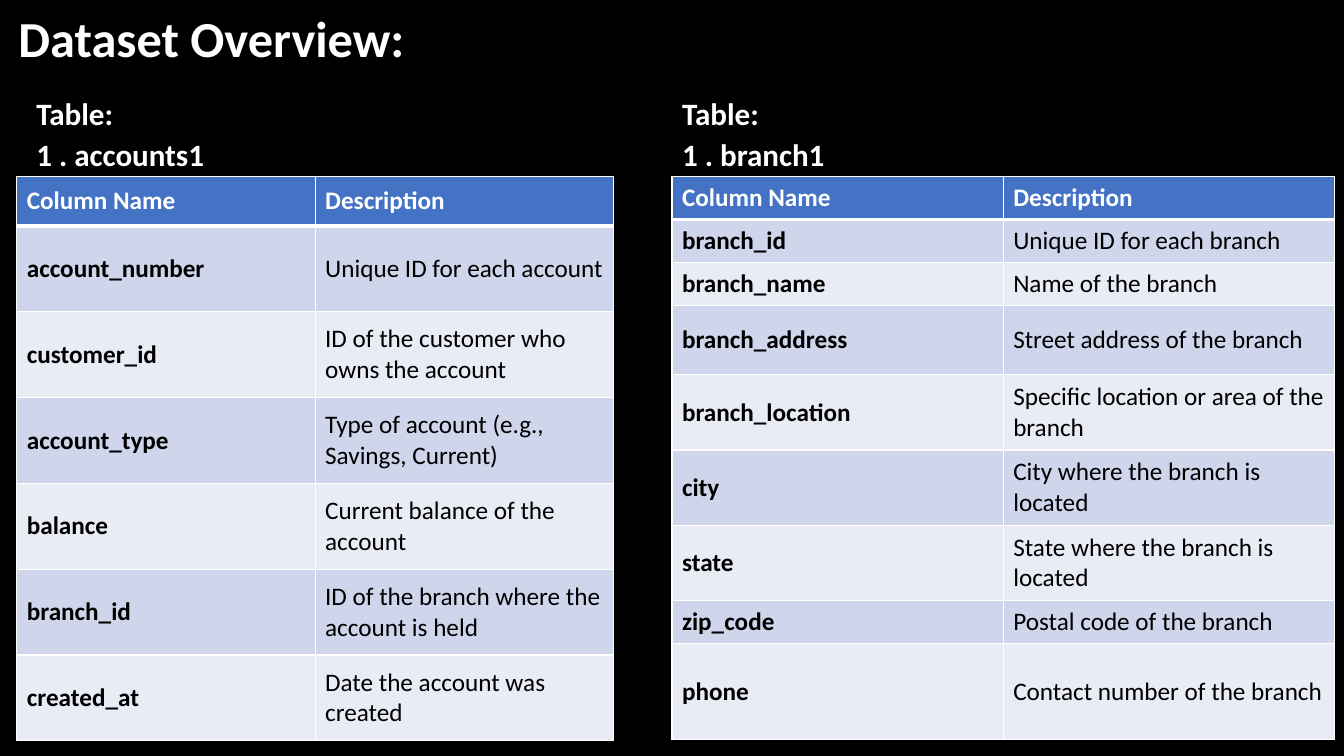
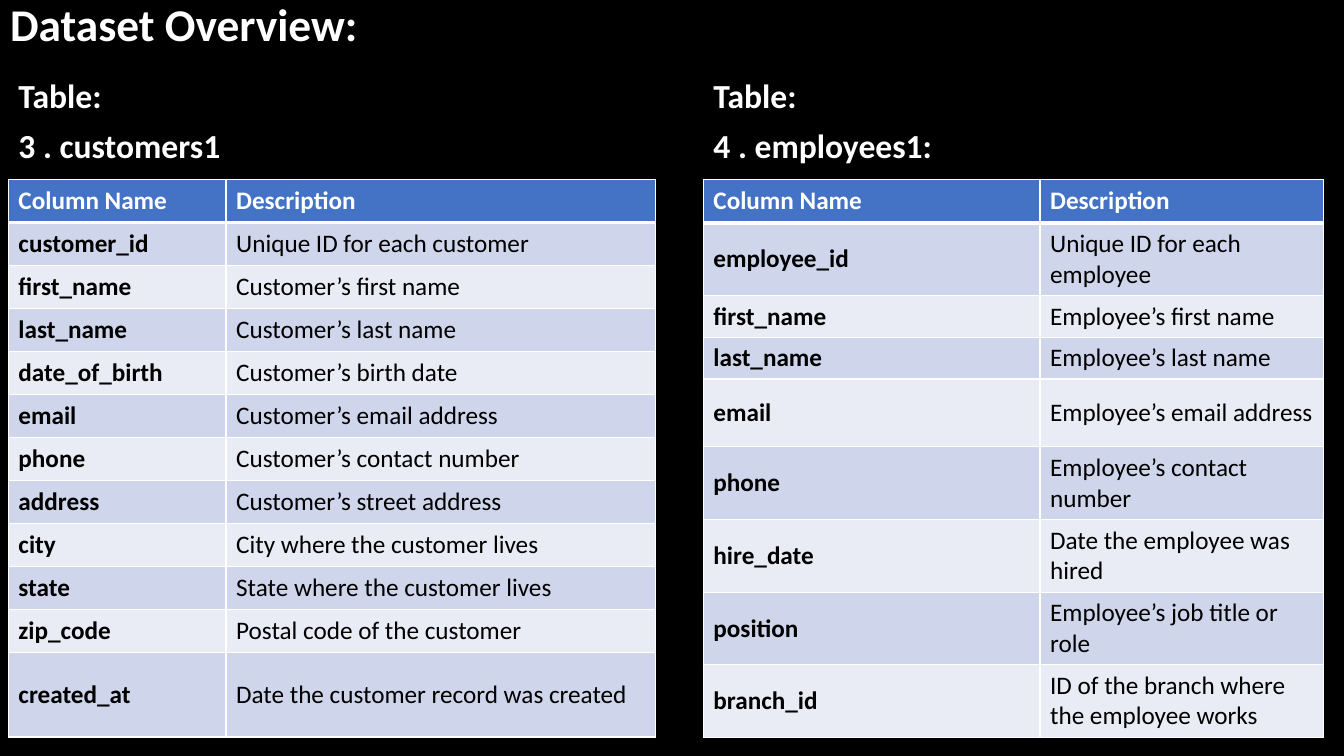
import dataclasses

import lxml.etree
import pptx
import pptx.dml.color
import pptx.enum.text
import pptx.oxml.ns
import pptx.util

Pt = pptx.util.Pt
Align = pptx.enum.text.PP_ALIGN
Anchor = pptx.enum.text.MSO_ANCHOR


@dataclasses.dataclass(frozen=True)
class Theme:
    font: str = "Calibri"
    background: str = "000000"
    light_text: str = "FFFFFF"
    dark_text: str = "000000"
    header_fill: str = "4472C4"
    band_fills: tuple = ("E9EBF5", "CFD5EA")
    border: str = "FFFFFF"
    thin_border: float = 1
    thick_border: float = 3
    table_size: float = 18
    title_spacing: float = 0.9
    heading_gap: float = 10


def rgb(value):
    return pptx.dml.color.RGBColor.from_string(value)


def write_text(frame, text, *, font, size, color, bold=False, spacing=1.0, gap=0):
    frame.word_wrap = True
    for index, line in enumerate(text.split("\n")):
        paragraph = frame.add_paragraph() if index else frame.paragraphs[0]
        paragraph.text = line
        paragraph.alignment = Align.LEFT
        paragraph.line_spacing = spacing
        paragraph.space_before = Pt(gap if index else 0)
        paragraph.font.name = font
        paragraph.font.size = Pt(size)
        paragraph.font.bold = bold
        paragraph.font.color.rgb = rgb(color)


class Deck:
    def __init__(self, theme):
        self.theme = theme
        self.presentation = pptx.Presentation()
        self.presentation.slide_width = Pt(960)
        self.presentation.slide_height = Pt(540)
        fill = self.presentation.slide_master.background.fill
        fill.solid()
        fill.fore_color.rgb = rgb(theme.background)
        self.slide = None

    def add_slide(self):
        layout = self.presentation.slide_layouts.get_by_name("Comparison")
        self.slide = self.presentation.slides.add_slide(layout)

    def fill_placeholder(self, index, text, box, anchor, **text_format):
        shape = next(
            holder for holder in self.slide.placeholders
            if holder.placeholder_format.idx == index
        )
        shape.left, shape.top, shape.width, shape.height = map(Pt, box)
        frame = shape.text_frame
        frame.auto_size = pptx.enum.text.MSO_AUTO_SIZE.NONE
        frame.vertical_anchor = anchor
        write_text(
            frame, text, font=self.theme.font, color=self.theme.light_text,
            bold=True, **text_format,
        )

    def title(self, text, box, size):
        self.fill_placeholder(
            0, text, box, Anchor.MIDDLE, size=size, spacing=self.theme.title_spacing
        )

    def heading(self, index, text, box, size, spacing):
        self.fill_placeholder(
            index, text, box, Anchor.BOTTOM,
            size=size, spacing=spacing, gap=self.theme.heading_gap,
        )

    def table(self, rows, position, widths, heights):
        rows = [("Column Name", "Description"), *rows]
        frame = self.slide.shapes.add_table(
            len(rows), len(widths), *map(Pt, position), Pt(sum(widths)), Pt(sum(heights))
        )
        table = frame.table
        for column, width in zip(table.columns, widths):
            column.width = Pt(width)
        for row_index, (values, height) in enumerate(zip(rows, heights)):
            table.rows[row_index].height = Pt(height)
            for column_index, value in enumerate(values):
                self.cell(table.cell(row_index, column_index), value, row_index, column_index)

    def cell(self, cell, text, row_index, column_index):
        theme = self.theme
        is_header = row_index == 0
        cell.vertical_anchor = Anchor.MIDDLE
        cell.fill.solid()
        cell.fill.fore_color.rgb = rgb(
            theme.header_fill if is_header else theme.band_fills[row_index % 2]
        )
        write_text(
            cell.text_frame, text, font=theme.font, size=theme.table_size,
            color=theme.light_text if is_header else theme.dark_text,
            bold=is_header or column_index == 0,
        )
        top = theme.thick_border if row_index == 1 else theme.thin_border
        bottom = theme.thick_border if is_header else theme.thin_border
        self.borders(cell, lnL=theme.thin_border, lnR=theme.thin_border, lnT=top, lnB=bottom)

    def borders(self, cell, **weights):
        qn = pptx.oxml.ns.qn
        properties = cell._tc.get_or_add_tcPr()
        for index, (side, weight) in enumerate(weights.items()):
            line = lxml.etree.Element(qn(f"a:{side}"), w=str(Pt(weight)))
            fill = lxml.etree.SubElement(line, qn("a:solidFill"))
            lxml.etree.SubElement(fill, qn("a:srgbClr"), val=self.theme.border)
            properties.insert(index, line)

    def remove_empty_placeholders(self):
        for shape in list(self.slide.placeholders):
            if not shape.text_frame.text:
                shape.element.getparent().remove(shape.element)


ACCOUNTS = [
    ("account_number", "Unique ID for each account"),
    ("customer_id", "ID of the customer who owns the account"),
    ("account_type", "Type of account (e.g., Savings, Current)"),
    ("balance", "Current balance of the account"),
    ("branch_id", "ID of the branch where the account is held"),
    ("created_at", "Date the account was created"),
]
BRANCHES = [
    ("branch_id", "Unique ID for each branch"),
    ("branch_name", "Name of the branch"),
    ("branch_address", "Street address of the branch"),
    ("branch_location", "Specific location or area of the branch"),
    ("city", "City where the branch is located"),
    ("state", "State where the branch is located"),
    ("zip_code", "Postal code of the branch"),
    ("phone", "Contact number of the branch"),
]
CUSTOMERS = [
    ("customer_id", "Unique ID for each customer"),
    ("first_name", "Customer’s first name"),
    ("last_name", "Customer’s last name"),
    ("date_of_birth", "Customer’s birth date"),
    ("email", "Customer’s email address"),
    ("phone", "Customer’s contact number"),
    ("address", "Customer’s street address"),
    ("city", "City where the customer lives"),
    ("state", "State where the customer lives"),
    ("zip_code", "Postal code of the customer"),
    ("created_at", "Date the customer record was created"),
]
EMPLOYEES = [
    ("employee_id", "Unique ID for each employee"),
    ("first_name", "Employee’s first name"),
    ("last_name", "Employee’s last name"),
    ("email", "Employee’s email address"),
    ("phone", "Employee’s contact number"),
    ("hire_date", "Date the employee was hired"),
    ("position", "Employee’s job title or role"),
    ("branch_id", "ID of the branch where the employee works"),
]


def main():
    deck = Deck(Theme())
    title = "Dataset Overview:"

    deck.add_slide()
    deck.title(title, (6, 6.5, 947, 46), 36)
    deck.heading(1, "Table:\n1 . accounts1", (18.7, 70.6, 419, 55.4), 22.2, 0.7)
    deck.table(ACCOUNTS, (12, 126), [213.1] * 2, [35.4] + [61.3] * 6)
    deck.heading(3, "Table:\n1 . branch1", (480, 52.6, 473, 73.4), 22.2, 0.7)
    deck.table(
        BRANCHES, (480, 126), [236.6] * 2,
        [30.7] * 3 + [49.6] + [53.8] * 3 + [30.7, 68.6],
    )
    deck.remove_empty_placeholders()

    deck.add_slide()
    deck.title(title, (0, 4.3, 948, 29), 32.4)
    deck.heading(1, "Table:\n3 . customers1", (6, 57.6, 462, 64.6), 24, 0.9)
    deck.table(CUSTOMERS, (6, 128.2), [155.5, 306.7], [30.7] * 11 + [60.5])
    deck.heading(3, "Table:\n4 . employees1:", (502.4, 51.2, 443, 71), 24, 0.9)
    deck.table(
        EMPLOYEES, (502.4, 128.2), [240.5, 202.4],
        [31, 52, 30, 29.5, 48.5, 52, 52, 51.5, 52],
    )
    deck.remove_empty_placeholders()

    deck.presentation.save("out.pptx")


if __name__ == "__main__":
    main()
